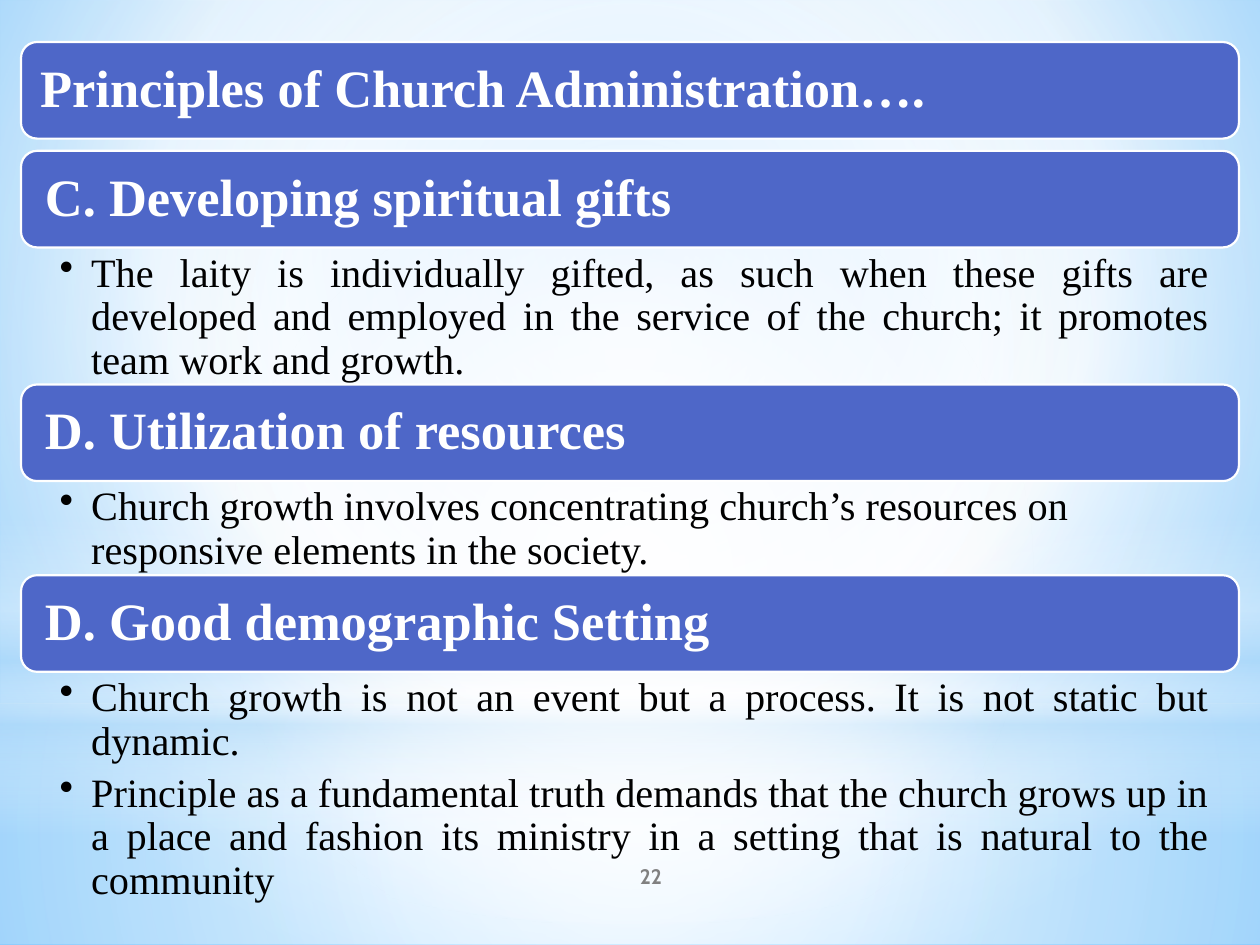
from typing import NamedTuple

import pptx
import pptx.dml.color
import pptx.enum.shapes
import pptx.enum.text
import pptx.oxml
import pptx.oxml.ns
import pptx.util

Pt = pptx.util.Pt
ALIGN = pptx.enum.text.PP_ALIGN
ANCHOR = pptx.enum.text.MSO_ANCHOR
SHAPE = pptx.enum.shapes.MSO_SHAPE

HUES = {
    "bar": "4E67C8", "white": "FFFFFF", "ink": "000000", "gray": "808080",
    "sky": "9ED5FF", "deep": "5BB9FF", "pale": "B4DCFA",
}
SERIF = "Times New Roman"
LEFT, WIDE, TOP = 12, 696, 24
BAR, GAP = 55.2, 7


class Stop(NamedTuple):
    pos: int
    hue: str
    alpha: int = 100


class Glow(NamedTuple):
    kind: int
    top: float
    high: float
    stops: list[Stop]
    shade: str


class Part(NamedTuple):
    head: str
    items: list[str]
    high: float
    align: int = ALIGN.JUSTIFY


def radial(left: int, top: int, right: int, base: int) -> str:
    return (f'<a:path path="circle"><a:fillToRect l="{left}000" t="{top}000" '
            f'r="{right}000" b="{base}000"/></a:path>')


MID = radial(50, 50, 50, 50)
DOWN = '<a:lin ang="5400000" scaled="0"/>'
SKY = [Stop(0, "sky"), Stop(60, "white"), Stop(100, "deep")]
GLOWS = [
    Glow(SHAPE.RECTANGLE, 402, 138,
         [Stop(0, "white", 91), Stop(37, "white", 76), Stop(100, "pale", 79)], MID),
    Glow(SHAPE.RECTANGLE, 0, 402,
         [Stop(0, "white", 89), Stop(48, "white", 62), Stop(100, "pale", 79)], MID),
    Glow(SHAPE.RECTANGLE, 296.6, 180,
         [Stop(0, "white", 0), Stop(29, "white", 30), Stop(45, "pale", 40),
          Stop(55, "white", 26), Stop(65, "pale", 60), Stop(100, "white", 0)], DOWN),
    Glow(SHAPE.OVAL, 126, 402, [Stop(0, "white"), Stop(56, "white", 0)], MID),
]
TITLE = "Principles of Church Administration…."
PARTS = [
    Part("C. Developing spiritual gifts", [
        "The laity is individually gifted, as such when these gifts are developed "
        "and employed in the service of the church; it promotes team work and growth.",
    ], 78.3),
    Part("D. Utilization of resources", [
        "Church growth involves concentrating church’s resources on responsive "
        "elements in the society.",
    ], 53.8, ALIGN.LEFT),
    Part("D. Good demographic Setting", [
        "Church growth is not an event but a process. It is not static but dynamic. ",
        "Principle as a fundamental truth demands that the church grows up in a place "
        "and fashion its ministry in a setting that is natural to the community",
    ], 131.8),
]


def color(name: str) -> pptx.dml.color.RGBColor:
    return pptx.dml.color.RGBColor.from_string(HUES[name])


def blend(fill, root, stops: list[Stop], shade: str) -> None:
    """Give the fill found under root a gradient with its own stops and shade."""
    fill.gradient()
    old = root.find(".//" + pptx.oxml.ns.qn("a:gradFill"))
    marks = "".join(
        f'<a:gs pos="{s.pos}000"><a:srgbClr val="{HUES[s.hue]}">'
        f'<a:alpha val="{s.alpha}000"/></a:srgbClr></a:gs>' for s in stops)
    new = pptx.oxml.parse_xml(
        f'<a:gradFill {pptx.oxml.ns.nsdecls("a")} rotWithShape="1">'
        f'<a:gsLst>{marks}</a:gsLst>{shade}</a:gradFill>')
    old.getparent().replace(old, new)


def draw_glow(slide, glow: Glow) -> None:
    shape = slide.shapes.add_shape(glow.kind, 0, Pt(glow.top), Pt(720), Pt(glow.high))
    shape.shadow.inherit = False
    shape.line.fill.background()
    blend(shape.fill, shape._element, glow.stops, glow.shade)


def set_frame(frame, left: float, top: float, right: float, base: float, anchor) -> None:
    frame.word_wrap = True
    frame.auto_size = pptx.enum.text.MSO_AUTO_SIZE.NONE
    frame.margin_left, frame.margin_top = Pt(left), Pt(top)
    frame.margin_right, frame.margin_bottom = Pt(right), Pt(base)
    frame.vertical_anchor = anchor


def style(para, size: float, hue: str, bold: bool, align, face: str = SERIF) -> None:
    para.alignment = align
    for run in para.runs:
        font = run.font
        font.name, font.size, font.bold = face, Pt(size), bold
        font.color.rgb = color(hue)


def set_head(shape, text: str, align) -> None:
    frame = shape.text_frame
    set_frame(frame, 11, 11, 11, 11, ANCHOR.MIDDLE)
    frame.text = text
    para = frame.paragraphs[0]
    para.line_spacing = 0.9
    style(para, 30, "white", True, align)


def draw_bar(slide, top: float):
    bar = slide.shapes.add_shape(
        SHAPE.ROUNDED_RECTANGLE, Pt(LEFT), Pt(top), Pt(WIDE), Pt(BAR))
    bar.shadow.inherit = False
    bar.fill.solid()
    bar.fill.fore_color.rgb = color("bar")
    bar.line.color.rgb = color("white")
    bar.line.width = Pt(1.25)
    return bar


def draw_list(slide, part: Part, top: float) -> None:
    box = slide.shapes.add_textbox(Pt(LEFT), Pt(top), Pt(WIDE), Pt(part.high))
    frame = box.text_frame
    set_frame(frame, 22.1, 2.9, 16.4, 2.9, ANCHOR.TOP)
    frame.text = "\n".join(part.items)
    for para in frame.paragraphs:
        para.level = 1
        para.line_spacing = 0.9
        para.space_after = Pt(5)
        props = para._p.get_or_add_pPr()
        props.set("marL", str(Pt(18)))
        props.set("indent", str(-Pt(18)))
        props.append(pptx.oxml.parse_xml(
            f'<a:buChar {pptx.oxml.ns.nsdecls("a")} char="•"/>'))
        style(para, 23, "ink", False, part.align)


def draw_title(slide) -> None:
    draw_bar(slide, TOP)
    title = slide.shapes.title
    title.left, title.top, title.width, title.height = Pt(LEFT), Pt(TOP), Pt(WIDE), Pt(BAR)
    set_head(title, TITLE, ALIGN.LEFT)
    slide.shapes._spTree.append(title._element)  # in front of its bar


def draw_number(slide) -> None:
    box = slide.shapes.add_textbox(Pt(300), Pt(486), Pt(144), Pt(28.8))
    set_frame(box.text_frame, 7.2, 3.6, 7.2, 3.6, ANCHOR.MIDDLE)
    box.text_frame.text = "22"
    style(box.text_frame.paragraphs[0], 12, "gray", True, ALIGN.CENTER, "Cabin")


def main() -> None:
    deck = pptx.Presentation()
    deck.slide_width, deck.slide_height = Pt(720), Pt(540)
    slide = deck.slides.add_slide(deck.slide_layouts[5])
    blend(slide.background.fill, slide._element, SKY, radial(20, 10, 20, 60))
    for glow in GLOWS:
        draw_glow(slide, glow)
    draw_number(slide)
    draw_title(slide)
    top = TOP + BAR + GAP
    for part in PARTS:
        set_head(draw_bar(slide, top), part.head, ALIGN.JUSTIFY)
        draw_list(slide, part, top + BAR)
        top += BAR + part.high
    deck.save("out.pptx")


if __name__ == "__main__":
    main()
